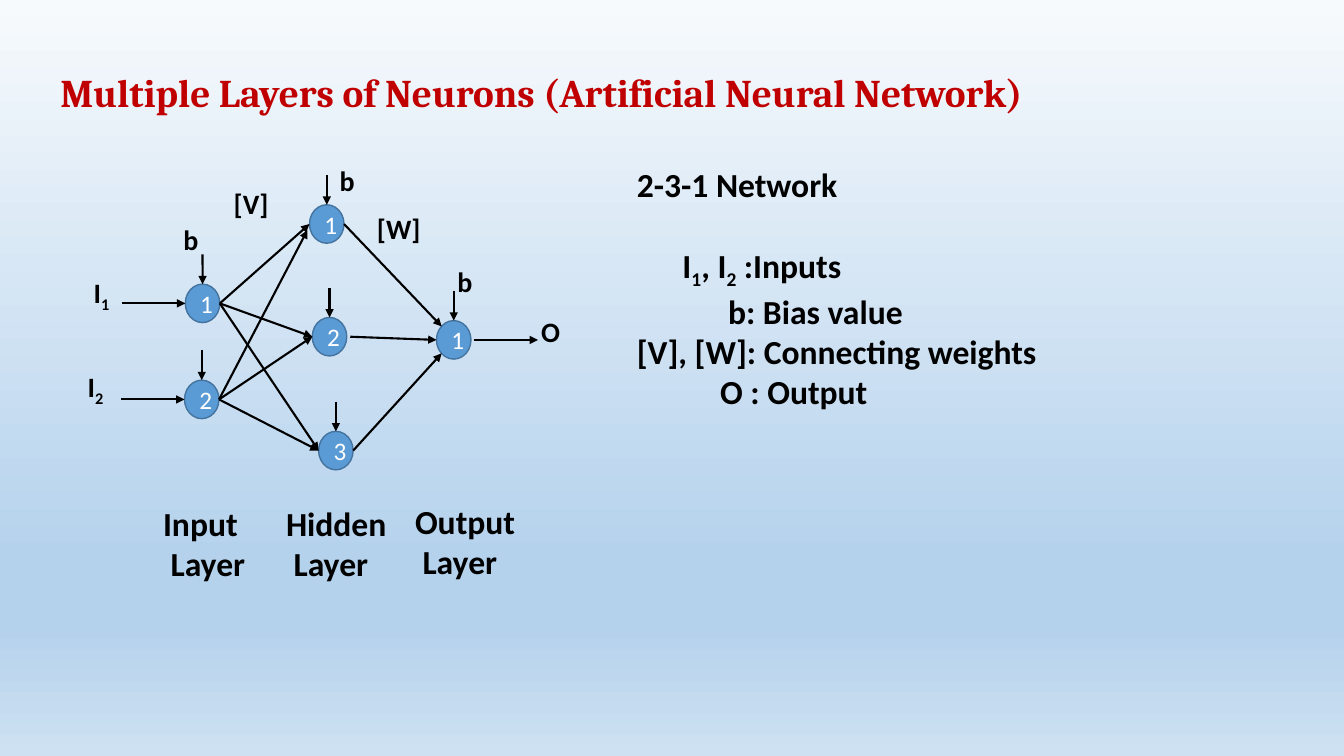
from itertools import product

from lxml.etree import SubElement
from pptx import Presentation
from pptx.dml.color import RGBColor
from pptx.enum.shapes import MSO_CONNECTOR as Link, MSO_SHAPE as Preset
from pptx.enum.text import MSO_ANCHOR as Anchor, PP_ALIGN as Align
from pptx.oxml.ns import qn
from pptx.util import Cm, Pt

COLORS = {"title": "C00000", "ink": "000000", "node": "5B9BD5",
          "rim": "43739E", "digit": "FFFFFF"}
BACKDROP = {0: "F7FAFD", 74: "B5D2EC", 83: "B5D2EC", 100: "CEE1F2"}
FORMATS = {
    "title": {"name": "Cambria", "size": Pt(28), "bold": True},
    "label": {"name": "Calibri", "size": Pt(20), "bold": True},
    "body": {"name": "Calibri", "size": Pt(24), "bold": True},
    "digit": {"name": "Calibri", "size": Pt(18), "bold": False},
}
INKS = {"title": "title", "label": "ink", "body": "ink", "digit": "digit"}

NODE_W, NODE_H = 0.87, 0.97
NODES = {  # key: (left, top, digit), in cm within the network
    "in1": (2.67, 3.16, "1"), "in2": (2.65, 5.58, "2"),
    "hid1": (5.8, 1.16, "1"), "hid2": (5.87, 4, "2"), "hid3": (6.03, 6.87, "3"),
    "out": (9, 4.08, "1"),
}
SITES = {  # fractions of a node's width and height
    "top": (0.5, 0), "left": (0, 0.5), "right": (1, 0.5), "past_right": (1.1, 0.5),
    "upper_left": (0.15, 0.15), "lower_left": (0.15, 0.85), "under_left": (-0.06, 0.66),
}
OUTPUT_WEIGHTS = [("hid1", "right", "upper_left"), ("hid2", "past_right", "left"),
                  ("hid3", "right", "lower_left")]
BIAS_LENGTH, SIGNAL_LENGTH = 0.75, 1.6
LABELS = [("[V]", 3.64, 0.57), ("[W]", 7.25, 1.21),
          ("b", 2.37, 1.49), ("b", 6.31, 0), ("b", 9.28, 2.53),
          ("I_1", 0.11, 2.81), ("I_2", -0.04, 5.19), ("O", 11.39, 3.8)]
CAPTIONS = [("Input", 1.86, 8.55), ("Hidden", 4.96, 8.55), ("Output", 8.21, 8.5)]
LEGEND = [  # (text, indent in cm, space before in points)
    ("2-3-1 Network", 0, 0), ("I_1_, I_2_ :Inputs", 1.15, 29),
    ("b: Bias value", 2.3, 0), ("[V], [W]: Connecting weights", 0, 0),
    ("O : Output", 2.1, 0),
]


def rgb(key):
    return RGBColor.from_string(COLORS[key])


def write(paragraph, text, style):
    """Write text in a style; every second part between underscores is a subscript."""
    for index, part in enumerate(text.split("_")):
        if not part:
            continue
        run = paragraph.add_run()
        run.text = part
        for attribute, value in FORMATS[style].items():
            setattr(run.font, attribute, value)
        run.font.color.rgb = rgb(INKS[style])
        if index % 2:
            run.font._element.set("baseline", "-25000")


def add_text(slide, box, lines, style):
    """Place a text box with lines of (text, indent in cm, space before in points)."""
    frame = slide.shapes.add_textbox(*map(Cm, box)).text_frame
    frame.word_wrap = True
    for index, (text, indent, before) in enumerate(lines):
        paragraph = frame.add_paragraph() if index else frame.paragraphs[0]
        if indent:
            paragraph._p.get_or_add_pPr().set("marL", str(Cm(indent)))
        if before:
            paragraph.space_before = Pt(before)
        write(paragraph, text, style)
    return frame


def add_arrow(slide, start, end):
    arrow = slide.shapes.add_connector(Link.STRAIGHT, *map(Cm, (*start, *end)))
    arrow.line.color.rgb = rgb("ink")
    arrow.line.width = Pt(1.5)
    SubElement(arrow.line._get_or_add_ln(), qn("a:tailEnd"), type="triangle")
    SubElement(arrow._element.spPr, qn("a:effectLst"))
    return arrow


def add_node(slide, left, top, digit):
    node = slide.shapes.add_shape(Preset.OVAL, *map(Cm, (left, top, NODE_W, NODE_H)))
    node.shadow.inherit = False
    node.fill.solid()
    node.fill.fore_color.rgb = rgb("node")
    node.line.color.rgb = rgb("rim")
    node.line.width = Pt(1)
    node.text_frame.vertical_anchor = Anchor.MIDDLE
    paragraph = node.text_frame.paragraphs[0]
    paragraph.alignment = Align.CENTER
    write(paragraph, digit, "digit")
    return node


def paint_backdrop(slide):
    fill = slide.background.fill
    fill.gradient()
    fill.gradient_angle = 270
    stops = slide._element.find(".//" + qn("a:gsLst"))
    stops.clear()
    for percent, color in BACKDROP.items():
        stop = SubElement(stops, qn("a:gs"), pos=str(percent * 1000))
        SubElement(stop, qn("a:srgbClr"), val=color)


def add_title(slide, box):
    title = "Multiple Layers of Neurons (Artificial Neural Network)"
    frame = add_text(slide, box, [(title, 0, 0)], "title")
    frame.margin_top = Cm(1.4)


def add_network(slide, x, y):
    """Draw the 2-3-1 network with its labels from the corner (x, y)."""
    def site(key, name):
        left, top, _ = NODES[key]
        across, down = SITES[name]
        return x + left + across * NODE_W, y + top + down * NODE_H

    for key, (left, top, digit) in NODES.items():
        node = add_node(slide, x + left, y + top, digit)
        tip_x, tip_y = site(key, "top")
        bias = add_arrow(slide, (tip_x, tip_y - BIAS_LENGTH), (tip_x, tip_y))
        bias.end_connect(node, 0)

    for key in ("in1", "in2"):
        tip_x, tip_y = site(key, "left")
        add_arrow(slide, (tip_x - SIGNAL_LENGTH, tip_y), (tip_x, tip_y))
    tail_x, tail_y = site("out", "past_right")
    add_arrow(slide, (tail_x, tail_y), (tail_x + SIGNAL_LENGTH, tail_y))

    for source, target in product(("in1", "in2"), ("hid1", "hid2", "hid3")):
        arrival = "under_left" if (source, target) == ("in2", "hid1") else "left"
        add_arrow(slide, site(source, "right"), site(target, arrival))
    for source, departure, arrival in OUTPUT_WEIGHTS:
        add_arrow(slide, site(source, departure), site("out", arrival))

    for text, left, top in LABELS:
        add_text(slide, (x + left, y + top, 1.8, 1.12), [(text, 0, 0)], "label")
    for layer, left, top in CAPTIONS:
        add_text(slide, (x + left, y + top, 3.18, 2.31),
                 [(layer, 0, 0), ("Layer", 0.19, 0)], "body")


def main():
    deck = Presentation()
    deck.slide_width, deck.slide_height = Cm(33.87), Cm(19.05)
    slide = deck.slides.add_slide(deck.slide_layouts[6])
    paint_backdrop(slide)
    add_title(slide, (1.27, 0.33, 29.18, 4.6))
    add_network(slide, 2, 4)
    add_text(slide, (15.8, 4, 10.64, 9.5), LEGEND, "body")
    deck.save("out.pptx")


if __name__ == "__main__":
    main()
